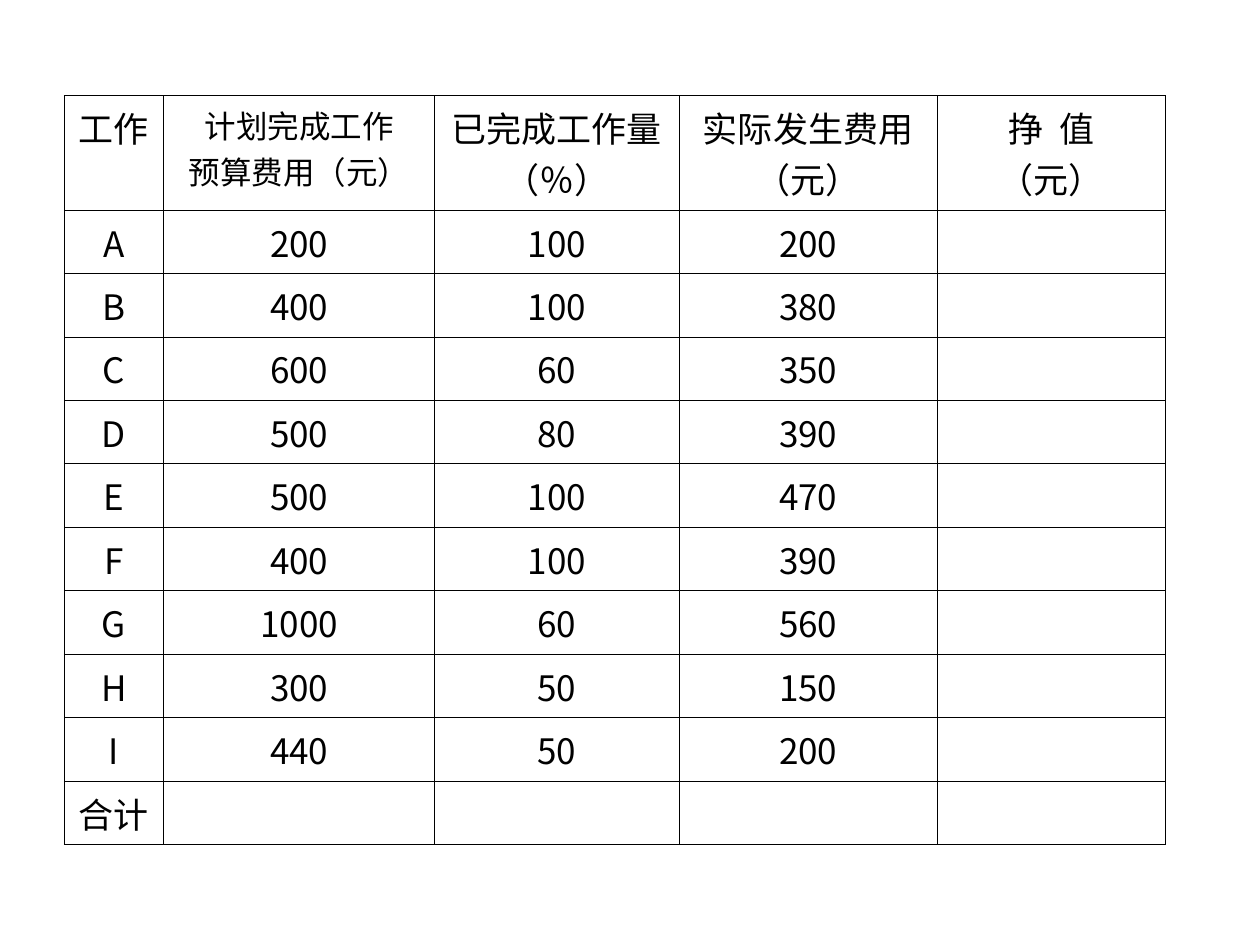
from dataclasses import dataclass
from typing import NamedTuple

from lxml.etree import SubElement
from pptx import Presentation
from pptx.dml.color import RGBColor
from pptx.enum.text import PP_ALIGN
from pptx.oxml.ns import qn
from pptx.table import Table, _Cell
from pptx.util import Inches, Pt


@dataclass(frozen=True)
class Theme:
    font: str = "Noto Sans CJK SC"
    ink: str = "000000"
    body: float = 20
    compact: float = 18
    border: float = 0.45
    word_gap: float = 4.5
    hanging: float = 0.38


class Column(NamedTuple):
    width: float
    heading: tuple[str, ...]
    size: float


THEME = Theme()
SLIDE_W, SLIDE_H = 10, 7.5
LEFT, TOP = 0.51, 0.76
HEADER_H, ROW_H = 0.77, 0.44

COLUMNS = (
    Column(0.79, ("工作",), THEME.body),
    Column(2.15, ("计划完成工作", "预算费用（元）"), THEME.compact),
    Column(1.94, ("已完成工作量", "（％）"), THEME.body),
    Column(2.05, ("实际发生费用", "（元）"), THEME.body),
    Column(1.81, ("挣 值", "（元）"), THEME.body),
)
ROWS = (
    ("A", 200, 100, 200),
    ("B", 400, 100, 380),
    ("C", 600, 60, 350),
    ("D", 500, 80, 390),
    ("E", 500, 100, 470),
    ("F", 400, 100, 390),
    ("G", 1000, 60, 560),
    ("H", 300, 50, 150),
    ("I", 440, 50, 200),
    ("合计",),
)


def set_borders(cell: _Cell) -> None:
    tcPr = cell._tc.get_or_add_tcPr()
    for i, side in enumerate(("lnL", "lnR", "lnT", "lnB")):
        ln = SubElement(tcPr, qn(f"a:{side}"), w=str(Pt(THEME.border)))
        fill = SubElement(ln, qn("a:solidFill"))
        SubElement(fill, qn("a:srgbClr"), val=THEME.ink)
        tcPr.insert(i, ln)


def write_cell(cell: _Cell, lines: tuple[str, ...], size: float) -> None:
    """Write one centred paragraph per line, widening spaces between words."""
    tf = cell.text_frame
    for i, line in enumerate(lines):
        p = tf.add_paragraph() if i else tf.paragraphs[0]
        p.alignment = PP_ALIGN.CENTER
        pPr = p._p.get_or_add_pPr()
        pPr.set("marL", str(Inches(THEME.hanging)))
        pPr.set("indent", str(-Inches(THEME.hanging)))
        for part in filter(None, line.partition(" ")):
            r = p.add_run()
            r.text = part
            r.font.size = Pt(size)
            r.font.name = THEME.font
            r.font.color.rgb = RGBColor.from_string(THEME.ink)
            rPr = r._r.get_or_add_rPr()
            SubElement(rPr, qn("a:ea"), typeface=THEME.font)
            if part == " ":
                rPr.set("spc", str(int(THEME.word_gap * 100)))


def fill_table(table: Table) -> None:
    table.first_row = table.horz_banding = False
    for row in table.rows:
        row.height = Inches(ROW_H)
    table.rows[0].height = Inches(HEADER_H)
    for c, column in enumerate(COLUMNS):
        table.columns[c].width = Inches(column.width)
        write_cell(table.cell(0, c), column.heading, column.size)
    for r, values in enumerate(ROWS, start=1):
        for c, value in enumerate(values):
            write_cell(table.cell(r, c), (str(value),), THEME.body)
    for cell in table.iter_cells():
        cell.fill.background()
        set_borders(cell)


def main() -> None:
    prs = Presentation()
    prs.slide_width, prs.slide_height = Inches(SLIDE_W), Inches(SLIDE_H)
    s = prs.slides.add_slide(prs.slide_layouts[6])
    width = sum(column.width for column in COLUMNS)
    height = HEADER_H + ROW_H * len(ROWS)
    frame = s.shapes.add_table(
        len(ROWS) + 1, len(COLUMNS),
        Inches(LEFT), Inches(TOP), Inches(width), Inches(height),
    )
    fill_table(frame.table)
    prs.save("out.pptx")


if __name__ == "__main__":
    main()
